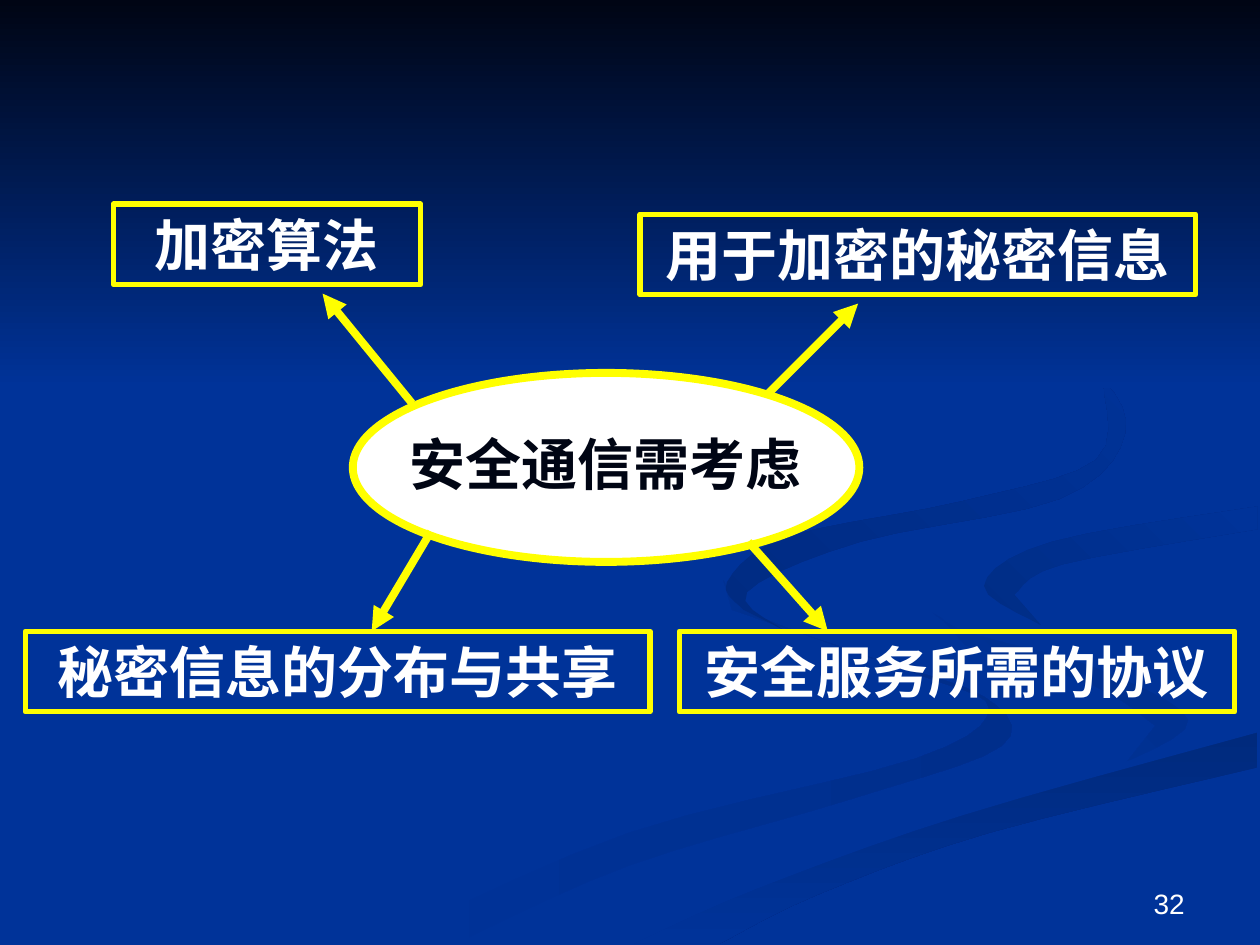
from itertools import chain
from pptx import Presentation
from pptx.dml.color import RGBColor
from pptx.enum.shapes import MSO_CONNECTOR as CONN, MSO_SHAPE as SHAPE
from pptx.enum.text import MSO_ANCHOR as ANCHOR, PP_ALIGN as ALIGN
from pptx.oxml.ns import qn
from pptx.util import Inches, Pt
from lxml.etree import SubElement

BLUE, NAVY, YELLOW, WHITE = "003399", "000514", "FFFF00", "FFFFFF"
CURVE_STEPS = 5

# Each ribbon: start colour, end colour, clockwise angle, curved edges in inches
RIBBONS = [
    (BLUE, "002E8B", 0, [
        [(5.74, 4.6), (5.94, 4.85), (6.82, 5.19), (7.81, 5.53), (7.95, 5.92),
         (6.76, 6.34), (4.99, 6.87), (3.61, 7.49)],
        [(3, 7.49), (4.99, 6.61), (7.27, 6.02), (7.85, 5.62), (7.28, 5.35),
         (5.81, 4.84)]]),
    (BLUE, "002E8B", 315, [
        [(7.24, 4.64), (7.58, 4.98), (8.7, 5.3), (9.43, 5.71), (8.94, 6.05)],
        [(9.17, 5.76), (8.68, 5.44), (7.66, 5.12)]]),
    ("002A7D", BLUE, 90, [
        [(5.03, 7.49), (5.99, 7.06), (7.64, 6.47), (9.98, 5.81)],
        [(9.98, 6.09), (7.85, 6.61), (6.49, 7.1), (5.71, 7.49)]]),
    (BLUE, BLUE, 0, [
        [(4.77, 7.49), (6.63, 6.68), (8.92, 6.05), (9.43, 5.71), (8.7, 5.3),
         (7.34, 4.83), (7.55, 4.32), (9.99, 3.87)],
        [(9.99, 4.02), (8.35, 4.3), (7.86, 4.73), (9.99, 5.38)],
        [(9.99, 5.81), (7.64, 6.47), (5.99, 7.06), (5.03, 7.49)]]),
    ("002D86", BLUE, 315, [
        [(8.26, 4.96), (7.81, 4.65), (8.35, 4.3), (9.98, 4.02)],
        [(9.98, 4.2), (8.43, 4.48), (8.05, 4.72)]]),
    ("002B82", BLUE, 315, [
        [(7.62, 2.33), (8.64, 2.91), (8.93, 3.44), (8.41, 3.96), (6.83, 4.3),
         (5.93, 4.7), (6.22, 5)],
        [(5.9, 4.84), (5.77, 4.62), (6.25, 4.26), (7.63, 3.98), (8.7, 3.65),
         (8.76, 3.06)]]),
]


def rgb(color):
    return RGBColor.from_string(color)


def smooth_edge(points):
    """Return points along a Catmull-Rom curve through the given points."""
    padded = [points[0], *points, points[-1]]
    curve = []
    for knots in zip(padded, padded[1:], padded[2:], padded[3:]):
        for step in range(CURVE_STEPS):
            t = step / CURVE_STEPS
            curve.append(tuple(
                b + t * (c - a) / 2
                + t**2 * (2 * a - 5 * b + 4 * c - d) / 2
                + t**3 * (3 * b - a - 3 * c + d) / 2
                for a, b, c, d in zip(*knots)))
    return curve + [points[-1]]


def fill_shape(sp, start, end, angle):
    """Fill without outline; the angle runs clockwise from left to right."""
    sp.shadow.inherit = False
    sp.line.fill.background()
    if start == end:
        sp.fill.solid()
        sp.fill.fore_color.rgb = rgb(start)
        return
    sp.fill.gradient()
    sp.fill.gradient_angle = -angle % 360
    for stop, color in zip(sp.fill.gradient_stops, (start, end)):
        stop.color.rgb = rgb(color)


def outline(sp, width):
    sp.shadow.inherit = False
    sp.line.color.rgb = rgb(YELLOW)
    sp.line.width = Pt(width)


def write(sp, text, size, color, bold=False, align=ALIGN.CENTER, anchor=ANCHOR.TOP):
    tf = sp.text_frame
    tf.word_wrap = True
    tf.vertical_anchor = anchor
    p = tf.paragraphs[0]
    p.text = text
    p.alignment = align
    p.font.name = "Arial"
    p.font.size = Pt(size)
    p.font.bold = bold
    p.font.color.rgb = rgb(color)


def add_background(slide, x, y, w):
    slide.background.fill.solid()
    slide.background.fill.fore_color.rgb = rgb(BLUE)
    for start, end, angle, edges in RIBBONS:
        points = [(x + Inches(px), y + Inches(py))
                  for px, py in chain.from_iterable(map(smooth_edge, edges))]
        builder = slide.shapes.build_freeform(*points[0])
        builder.add_line_segments(points[1:], close=True)
        fill_shape(builder.convert_to_shape(), start, end, angle)
    sky = slide.shapes.add_shape(SHAPE.RECTANGLE, x, y, w, Inches(3.08))
    fill_shape(sky, NAVY, BLUE, 90)


def add_arrow(slide, x1, y1, x2, y2):
    line = slide.shapes.add_connector(CONN.STRAIGHT, x1, y1, x2, y2)
    line.line.color.rgb = rgb(YELLOW)
    line.line.width = Pt(4.5)
    props = line.element.spPr
    SubElement(props.find(qn("a:ln")), qn("a:tailEnd"), type="triangle")
    SubElement(props, qn("a:effectLst"))


def add_topic_map(slide, x, y):
    """Central ellipse with an arrow to each of four labelled boxes."""
    topic = slide.shapes.add_shape(
        SHAPE.OVAL, x + Inches(2.6), y + Inches(1.34), Inches(4.02), Inches(1.5))
    topic.fill.solid()
    topic.fill.fore_color.rgb = rgb(WHITE)
    outline(topic, 4.5)
    title = slide.shapes.add_textbox(
        x + Inches(2.91), y + Inches(1.74), Inches(3.39), Inches(0.64))
    write(title, "安全通信需考虑", 32, NAVY, bold=True)

    # Text, box left, top and width, then arrow start and end
    branches = [
        ("加密算法", 0.7, 0, 2.44, (3.07, 1.58, 2.36, 0.71)),
        ("用于加密的秘密信息", 4.88, 0.08, 4.41, (5.9, 1.5, 6.61, 0.79)),
        ("秘密信息的分布与共享", 0, 3.39, 4.96, (3.22, 2.6, 2.75, 3.39)),
        ("安全服务所需的协议", 5.19, 3.39, 4.41, (5.74, 2.68, 6.37, 3.39)),
    ]
    for text, left, top, width, (x1, y1, x2, y2) in branches:
        add_arrow(slide, x + Inches(x1), y + Inches(y1), x + Inches(x2), y + Inches(y2))
        box = slide.shapes.add_shape(
            SHAPE.RECTANGLE, x + Inches(left), y + Inches(top), Inches(width), Inches(0.64))
        box.fill.background()
        outline(box, 3)
        write(box, text, 32, WHITE, bold=True)


def add_page_number(slide, x, y, w, h):
    box = slide.shapes.add_textbox(x, y, w, h)
    write(box, "32", 16, WHITE, align=ALIGN.RIGHT, anchor=ANCHOR.BOTTOM)


def main():
    prs = Presentation()
    prs.slide_width, prs.slide_height = Inches(10), Inches(7.5)
    slide = prs.slides.add_slide(prs.slide_layouts[6])
    add_background(slide, 0, 0, prs.slide_width)
    add_page_number(slide, Inches(7.17), Inches(6.83), Inches(2.33), Inches(0.52))
    add_topic_map(slide, Inches(0.2), Inches(1.62))
    prs.save("out.pptx")


if __name__ == "__main__":
    main()
